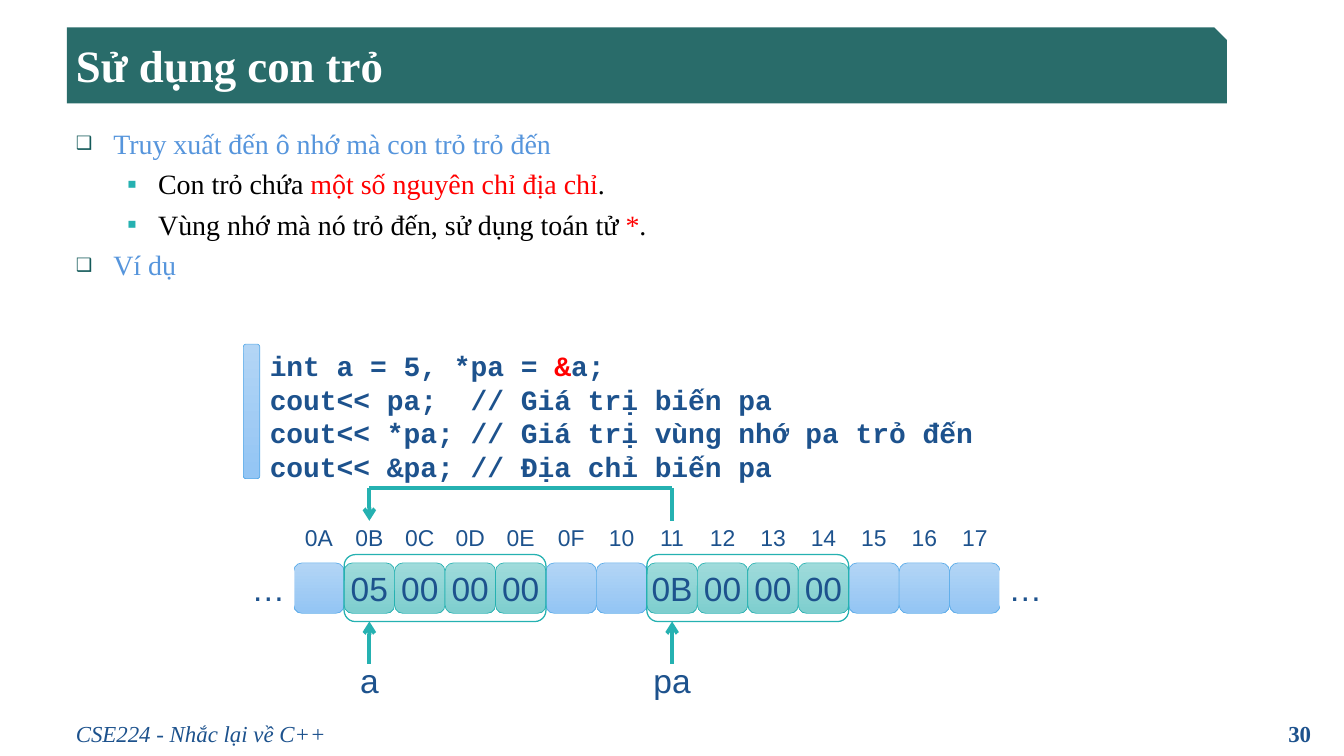
"""Build the slide on using pointers, with its memory map."""
from lxml import etree
from pptx import Presentation, util as u
from pptx.dml.color import RGBColor
from pptx.enum import shapes, text
from pptx.oxml.ns import qn

NAVY, TEAL, RED, BLACK, WHITE, SKY = "1D528D", "25B1B1", "FF0000", "000000", "FFFFFF", "5695DC"
SERIF, SANS, MONO = "Times New Roman", "Arial", "Courier New"
BLUE_BOX = ("B3D5F5", "93C5F4", "5BACE9")
TEAL_BOX = ("9FDBDB", "7ECECE", TEAL)

TITLE = "Sử dụng con trỏ"
POINTS = [
    (0, [("Truy xuất đến ô nhớ mà con trỏ trỏ đến", SKY)]),
    (1, [("Con trỏ chứa ", BLACK), ("một số nguyên chỉ địa chỉ", RED), (".", BLACK)]),
    (1, [("Vùng nhớ mà nó trỏ đến, sử dụng toán tử ", BLACK), ("*", RED), (".", BLACK)]),
    (0, [("Ví dụ", SKY)]),
]
BULLETS = [("❑", "135959", 66, 0.41, 0.41), ("▪", TEAL, 100, 0.9, 0.34)]
CODE = [
    [("int a = 5, *pa = ", NAVY), ("&", RED), ("a;", NAVY)],
    [("cout<< pa;  // Giá trị biến pa", NAVY)],
    [("cout<< *pa; // Giá trị vùng nhớ pa trỏ đến", NAVY)],
    [("cout<< &pa; // Địa chỉ biến pa", NAVY)],
]
FIRST, COUNT = 0x0A, 14
VARS = [("a", 0x0B, ["05", "00", "00", "00"]), ("pa", 0x11, ["0B", "00", "00", "00"])]
FOOTER, PAGE = "CSE224 - Nhắc lại về C++", "30"

WIDE, HIGH = 14.69, 8.26
LEFT, ROW, CELL = 3.21, 6.15, 0.5515
PAD, BEND = 0.09, 5.33

deck = Presentation()
deck.slide_width, deck.slide_height = u.Inches(WIDE), u.Inches(HIGH)
slide = deck.slides.add_slide(deck.slide_layouts[5])


def rgb(code):
    """Turn a hex string into a colour."""
    return RGBColor.from_string(code)


def write(para, runs, size, font, bold=False, ital=False):
    """Add coloured runs to a paragraph."""
    for words, tint in runs:
        run = para.add_run()
        run.text = words
        face = run.font
        face.size, face.name, face.bold, face.italic = u.Pt(size), font, bold, ital
        face.color.rgb = rgb(tint)


def lines(frame, count):
    """Return the wanted number of paragraphs of a frame."""
    return [frame.paragraphs[0]] + [frame.add_paragraph() for _ in range(count - 1)]


def area(*at):
    """Add a wrapping text box and return its frame."""
    frame = slide.shapes.add_textbox(*map(u.Inches, at)).text_frame
    frame.word_wrap = True
    return frame


def block(at, fill=None, edge=None, width=1, label="", size=26.4, kind="ROUNDED_RECTANGLE"):
    """Add a shape with a plain, graded or empty fill."""
    box = slide.shapes.add_shape(shapes.MSO_SHAPE[kind], *map(u.Inches, at))
    box.shadow.inherit = False
    if isinstance(fill, tuple):
        box.fill.gradient()
        box.fill.gradient_angle = 270
        for stop, tint in zip(box.fill.gradient_stops, fill):
            stop.color.rgb = rgb(tint)
    elif fill:
        box.fill.solid()
        box.fill.fore_color.rgb = rgb(fill)
    else:
        box.fill.background()
    if edge:
        box.line.color.rgb = rgb(edge)
        box.line.width = u.Pt(width)
    else:
        box.line.fill.background()
    if label:
        frame = box.text_frame
        frame.word_wrap = False
        frame.vertical_anchor = text.MSO_ANCHOR.MIDDLE
        frame.paragraphs[0].alignment = text.PP_ALIGN.CENTER
        write(frame.paragraphs[0], [(label, NAVY)], size, SANS)
    return box


def link(start, end, head=False):
    """Draw a thick teal line, with an arrowhead at its end if asked."""
    line = slide.shapes.add_connector(shapes.MSO_CONNECTOR.STRAIGHT, *map(u.Inches, start + end))
    line.line.color.rgb = rgb(TEAL)
    line.line.width = u.Pt(3)
    if head:
        etree.SubElement(line.line._get_or_add_ln(), qn("a:tailEnd"), type="arrow")
    etree.SubElement(line.element.spPr, qn("a:effectLst"))


def slot(place, top=ROW):
    """Give the box of one memory cell."""
    return LEFT + place * CELL, top, CELL, CELL


def bullet(para, level):
    """Set the indent and bullet of a list level."""
    sign, tint, scale, left, hang = BULLETS[level]
    props = para._p.get_or_add_pPr()
    props.set("marL", str(u.Inches(left)))
    props.set("indent", str(-u.Inches(hang)))
    paint = etree.SubElement(props, qn("a:buClr"))
    etree.SubElement(paint, qn("a:srgbClr"), val=tint)
    etree.SubElement(props, qn("a:buSzPct"), val=str(scale * 1000))
    etree.SubElement(props, qn("a:buFont"), typeface=SANS)
    etree.SubElement(props, qn("a:buChar"), char=sign)


head = slide.shapes.title
head.left, head.top, head.width, head.height = map(u.Inches, (0.73, 0.37, 12.61, 0.68))
head.text_frame.vertical_anchor = text.MSO_ANCHOR.MIDDLE
head.text_frame.paragraphs[0].alignment = text.PP_ALIGN.LEFT
write(head.text_frame.paragraphs[0], [(TITLE, WHITE)], 35.3, SERIF, bold=True)
banner = block((0.73, 0.3, 12.68, 0.83), "296C6A", kind="SNIP_1_RECTANGLE")
head.element.addprevious(banner.element)

body = area(0.73, 1.33, 13.69, 6.19)
for para, (level, runs) in zip(lines(body, len(POINTS)), POINTS):
    para.level = level
    para.space_before = u.Pt(5.5)
    bullet(para, level)
    write(para, runs, 22, SERIF)

block((2.66, 3.76, 0.18, 1.47), BLUE_BOX[:2], BLUE_BOX[2], 0.5)
for para, runs in zip(lines(area(2.85, 3.76, 10.01, 1.58), len(CODE)), CODE):
    write(para, runs, 22, MONO, bold=True)

bytes_at = {start + i: value for _, start, data in VARS for i, value in enumerate(data)}
for place in range(COUNT):
    spot = FIRST + place
    start, stop, edge = TEAL_BOX if spot in bytes_at else BLUE_BOX
    block(slot(place), (start, stop), edge, 0.5, bytes_at.get(spot, ""))
    block(slot(place, ROW - CELL), label=f"{spot:02X}", size=18)
for place in (-1, COUNT):
    block(slot(place), WHITE, WHITE, label="…")

mids = []
for name, start, data in VARS:
    x, y, wide, high = slot(start - FIRST)
    mids.append(x + wide / 2)
    block((x, y - PAD, wide * len(data), high + 2 * PAD), edge=TEAL)
    block(slot(start - FIRST, 7.16), WHITE, WHITE, label=name)
    link((mids[-1], 7.25), (mids[-1], 6.79), True)

goal, origin = mids
link((origin, 5.69), (origin, BEND))
link((origin, BEND), (goal, BEND))
link((goal, BEND), (goal, 5.69), True)

write(area(0.73, 7.81, 4.65, 0.39).paragraphs[0], [(FOOTER, NAVY)], 18, SERIF, ital=True)
page = area(11, 7.81, 3.43, 0.39).paragraphs[0]
page.alignment = text.PP_ALIGN.RIGHT
write(page, [(PAGE, NAVY)], 18, SERIF, bold=True)

deck.save("out.pptx")
